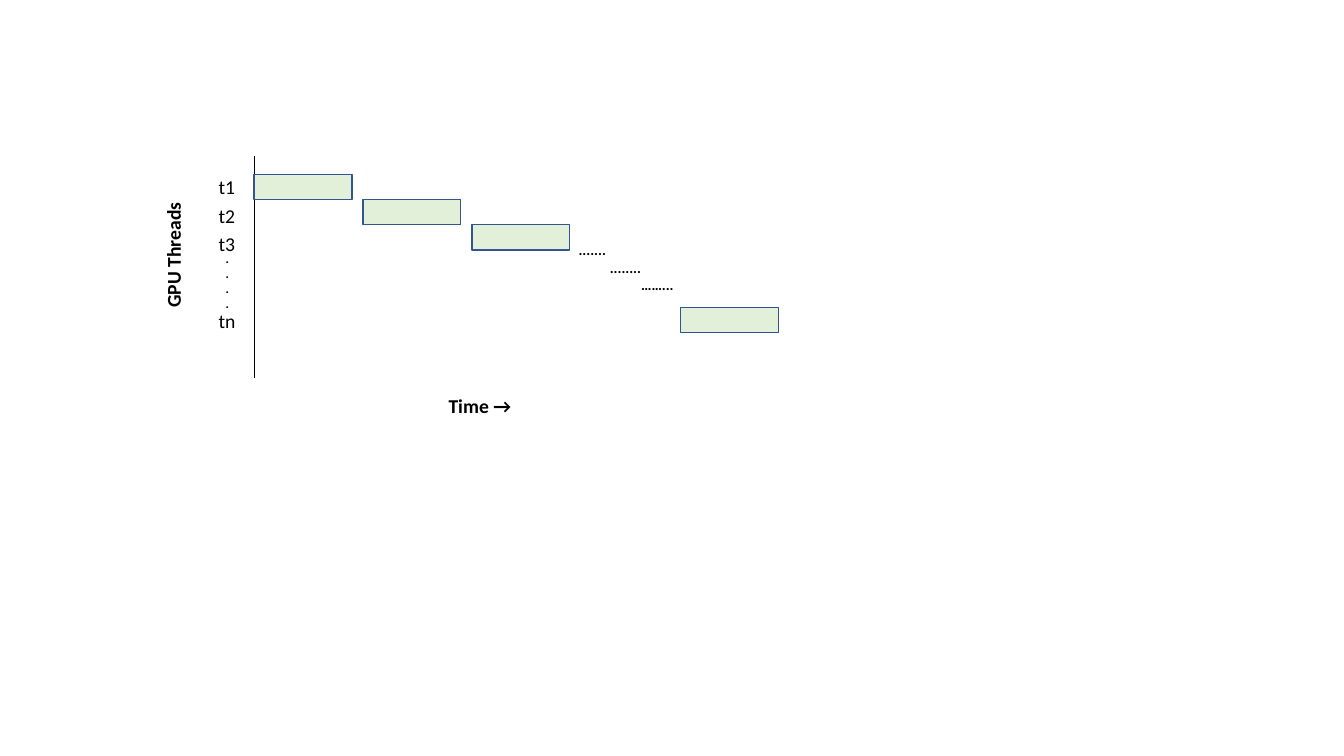
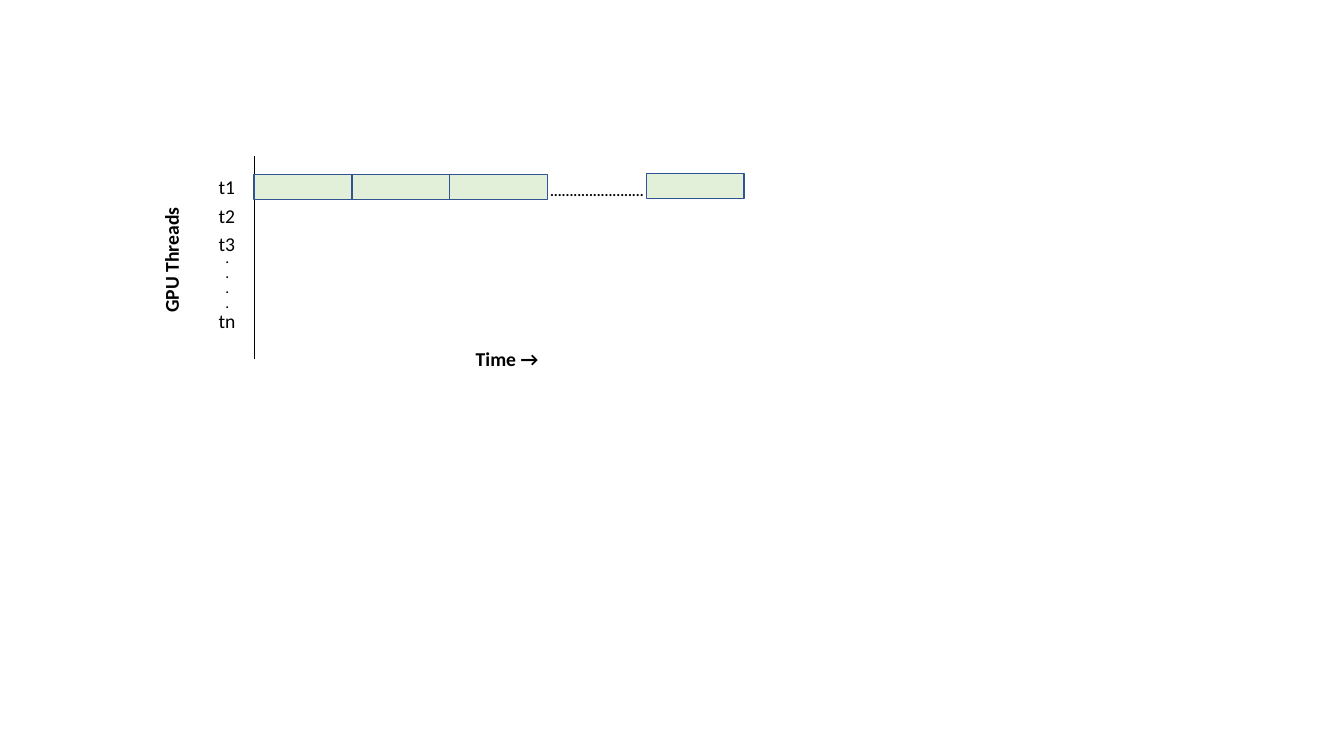
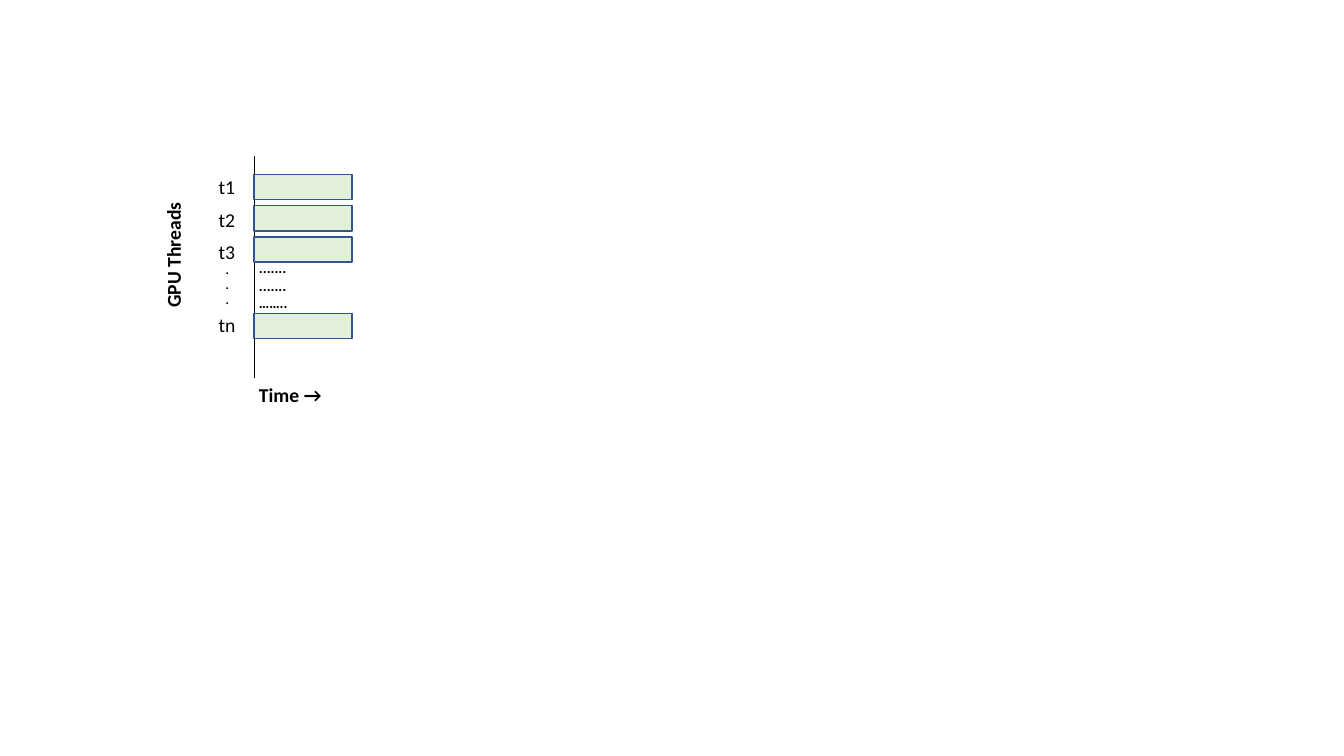
import pptx
import pptx.dml.color
import pptx.enum.shapes
import pptx.enum.text
import pptx.oxml
import pptx.util
from dataclasses import dataclass

Inches = pptx.util.Inches
Pt = pptx.util.Pt
Align = pptx.enum.text.PP_ALIGN


@dataclass(frozen=True)
class Theme:
    font: str = "Calibri"
    ink: str = "000000"
    fill: str = "E2F0D9"
    edge: str = "325491"
    label: float = 14
    dots: float = 10.5
    small: float = 9


THEME = Theme()
AXIS, TOP = 2.52, 1.55
BAR_W, BAR_H, BAR_TOP = 0.97, 0.25, 1.73
ROW_TOP, TEXT_H = 1.69, 0.34


def rgb(code):
    return pptx.dml.color.RGBColor.from_string(code)


def text(slide, lines, left, top, width, height=TEXT_H, size=THEME.label,
         bold=True, align=Align.LEFT, turn=0, indent=0):
    """Add one paragraph per line, each indented further than the last."""
    box = slide.shapes.add_textbox(*map(Inches, (left, top, width, height)))
    box.rotation = turn
    frame = box.text_frame
    frame.word_wrap = True
    for i, line in enumerate(lines):
        para = frame.paragraphs[0] if i == 0 else frame.add_paragraph()
        para.alignment = align
        if indent:
            props = para._p.get_or_add_pPr()
            props.set("marL", str(Inches(indent * i)))
            props.set("indent", "0")
        run = para.add_run()
        run.text = line
        run.font.name = THEME.font
        run.font.size = Pt(size)
        run.font.bold = bold
        run.font.color.rgb = rgb(THEME.ink)


def axis(slide, end):
    line = slide.shapes.add_connector(
        pptx.enum.shapes.MSO_CONNECTOR.STRAIGHT,
        *map(Inches, (AXIS, TOP, AXIS, end)))
    line.line.color.rgb = rgb(THEME.ink)
    line.line.width = Pt(0.5)
    props = line._element.spPr
    props.append(pptx.oxml.parse_xml(
        '<a:effectLst xmlns:a='
        '"http://schemas.openxmlformats.org/drawingml/2006/main"/>'))


def bar(slide, left, top):
    box = slide.shapes.add_shape(
        pptx.enum.shapes.MSO_SHAPE.RECTANGLE,
        *map(Inches, (left, top, BAR_W, BAR_H)))
    box.shadow.inherit = False
    box.fill.solid()
    box.fill.fore_color.rgb = rgb(THEME.fill)
    box.line.color.rgb = rgb(THEME.edge)
    box.line.width = Pt(1)


def threads(slide, step, last, dots, gap):
    """Label the rows t1 to tn, with a column of dots before tn."""
    tops = [ROW_TOP + step * i for i in range(3)] + [last]
    for name, top in zip(("t1", "t2", "t3", "tn"), tops):
        text(slide, [name], 2.07, top, 0.58, bold=False)
    text(slide, ["."] * dots, 2.14, gap, 0.78, 0.86, size=THEME.small)


def bars(slide, across, down, last):
    """Draw three evenly stepped bars and the last one."""
    for i in range(3):
        bar(slide, AXIS + across * i, BAR_TOP + down * i)
    bar(slide, *last)


def titles(slide, left, top, middle, time):
    """Name both axes; the upright name is centred on left and middle."""
    width = 1.95
    text(slide, ["GPU Threads"], left - width / 2, middle - TEXT_H / 2, width,
         align=Align.CENTER, turn=270)
    text(slide, ["Time →"], time, top, 2.88)


def serial(slide):
    axis(slide, 3.75)
    bars(slide, 1.08, 0.25, (6.75, 3.05))
    threads(slide, 0.28, 3.02, 4, 2.44)
    text(slide, [".......", "........", "……..."], 5.64, 2.34, 2.22, 0.63,
         size=THEME.dots, indent=0.31)
    titles(slide, 1.72, 3.86, 2.53, 4.35)


def single(slide):
    axis(slide, 3.56)
    bars(slide, BAR_W, 0, (6.41, 1.72))
    threads(slide, 0.28, 3.02, 4, 2.44)
    text(slide, ["." * 24], 4.81, 1.75, 2.22, 0.28, size=THEME.dots,
         align=Align.CENTER)
    titles(slide, 1.7, 3.39, 2.58, 4.62)


def parallel(slide):
    axis(slide, 3.75)
    bars(slide, 0, 0.31, (AXIS, 3.11))
    threads(slide, 0.32, 3.06, 3, 2.55)
    text(slide, [".......", ".......", "…….."], 2.47, 2.52, 2.22, 0.63,
         size=THEME.dots)
    titles(slide, 1.72, 3.75, 2.53, 2.47)


def main():
    deck = pptx.Presentation()
    deck.slide_width, deck.slide_height = Inches(13.33), Inches(7.5)
    blank = deck.slide_layouts.get_by_name("Blank")
    for draw in (serial, single, parallel):
        draw(deck.slides.add_slide(blank))
    deck.save("out.pptx")


if __name__ == "__main__":
    main()
